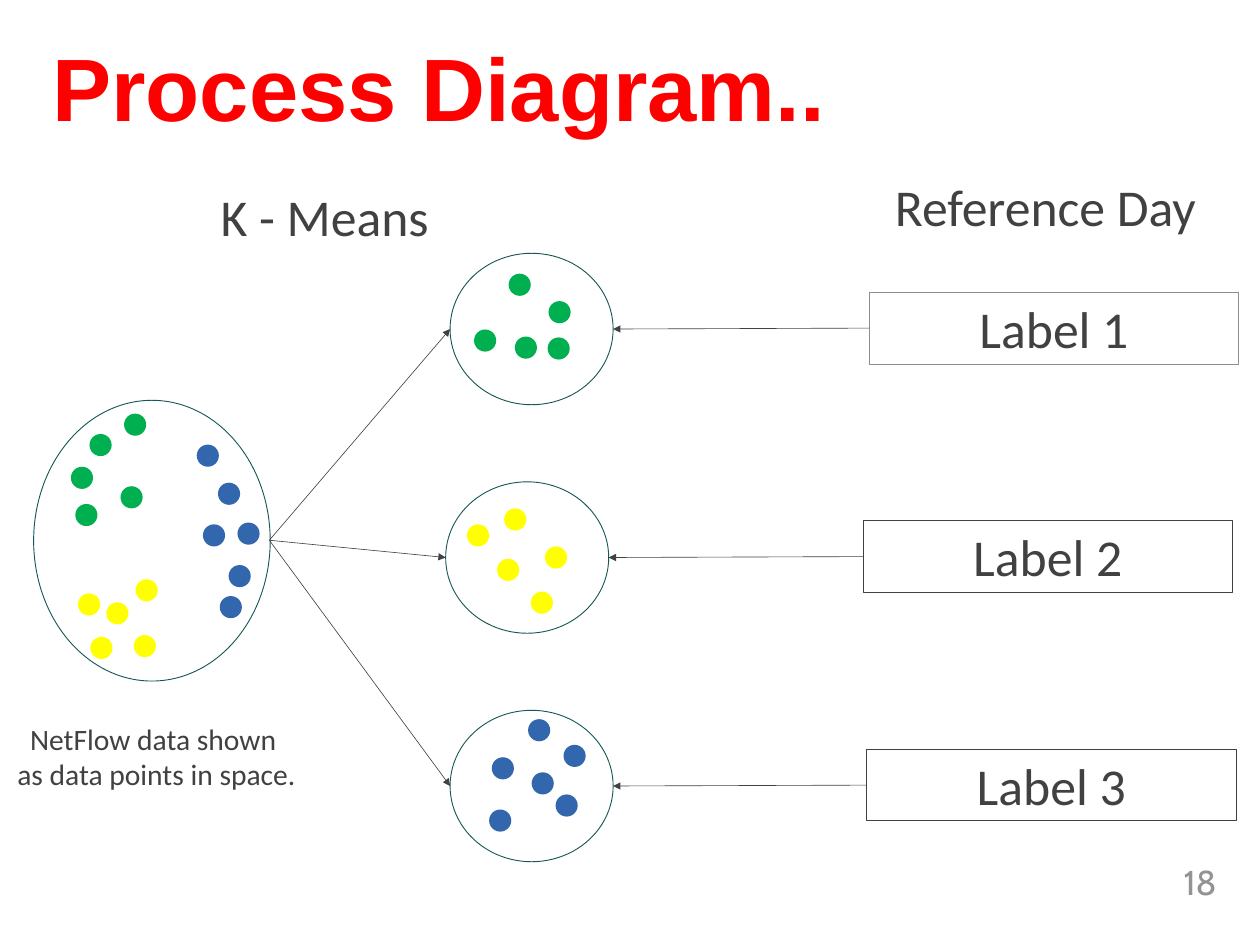
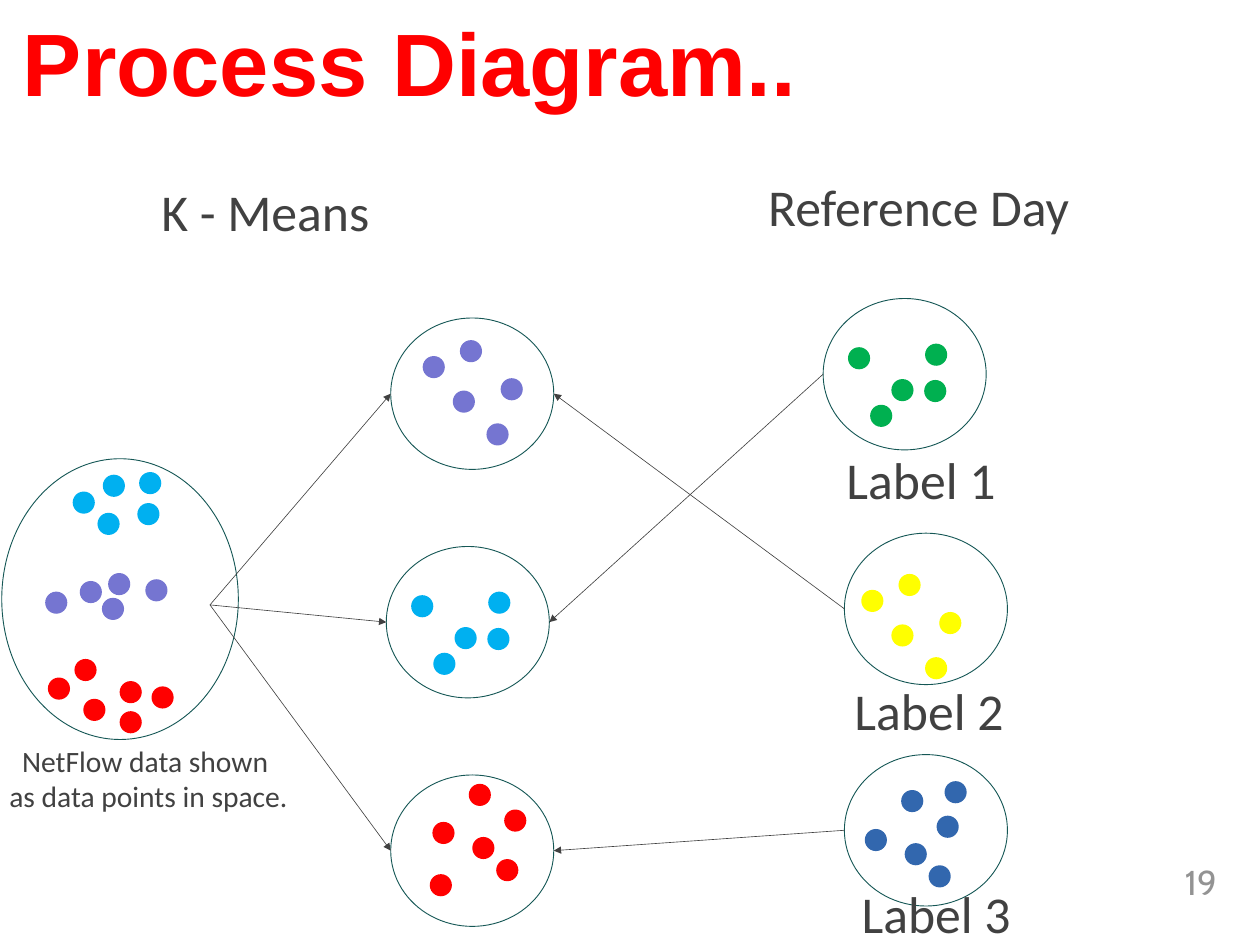
from dataclasses import dataclass
from lxml.etree import SubElement
from pptx import Presentation
from pptx.dml.color import RGBColor
from pptx.enum.shapes import MSO_CONNECTOR, MSO_SHAPE
from pptx.enum.text import MSO_ANCHOR, PP_ALIGN
from pptx.oxml.ns import qn
from pptx.util import Inches, Pt


@dataclass(frozen=True)
class Theme:
    title_red: str = "FF0000"
    ink: str = "414141"
    outline: str = "155755"
    soft_line: str = "8D8D8D"
    number_grey: str = "939393"
    green: str = "00B050"
    yellow: str = "FFFF00"
    blue: str = "3267AE"
    red: str = "FF0000"
    purple: str = "7575D1"
    cyan: str = "00B0F0"
    title_font: str = "Arial"
    body_font: str = "Calibri"
    number_font: str = "Cabin"
    title_size: int = 72
    label_size: int = 42
    caption_size: int = 24
    number_size: int = 28
    outline_width: float = 0.75
    arrow_width: float = 0.5


THEME = Theme()

# Measures in inches
SLIDE = (14.22, 10.67)
TITLE_SIZE = (13.44, 1.38)
SOURCE_SIZE = (2.67, 3.17)
CLUSTER_SIZE = (1.84, 1.71)
LABEL_SIZE = (4.17, 0.81)
HEADING_SIZE = (2.93, 0.81)
CAPTION_SIZE = (3.39, 0.91)
NUMBER_BOX = (10.63, 9.67, 3.2, 0.57)
DOT = 0.25
ROW_PITCH = 2.58
ROW_SHIFTS = (0, -0.05, 0)
FAN_OFFSET = (-2.04, 3.24)  # where the arrows start, from the first cluster

# Dot patterns, measured from the corner of the surrounding circle
ARC = [(0.66, 0.23), (0.27, 0.86), (0.73, 0.94), (1.11, 0.54), (1.1, 0.95)]
CORNER = [(0.28, 0.55), (0.53, 1.2), (0.77, 0.91), (1.15, 0.51), (1.14, 0.92)]
ZIGZAG = [(0.66, 0.3), (0.58, 0.87), (1.12, 0.73), (0.96, 1.24), (0.24, 0.48)]
RING = [(0.47, 0.53), (0.44, 1.12), (1.19, 0.95), (1.28, 0.39), (0.92, 0.7), (0.88, 0.1)]
TALL = [(0.23, 0.84), (1.13, 0.3), (0.95, 1.25), (1.04, 0.69), (0.68, 1), (0.64, 0.4)]


def shifted(pattern, dx, dy):
    return [(x + dx, y + dy) for x, y in pattern]


# Content
TITLE = "Process Diagram.."
CAPTION = ["NetFlow data shown ", "as data points in space."]
METHOD = "K - Means"
REFERENCE = "Reference Day "

PAGES = [
    {
        "number": "18",
        "title_at": (0.53, 0.25),
        "source_at": (0.38, 4.52),
        "source_dots": [
            (THEME.green, [(0.98, 0.97), (0.63, 0.38), (0.42, 0.75), (0.47, 1.17), (1.02, 0.15)]),
            (THEME.yellow, [(0.5, 2.18), (0.82, 2.28), (1.13, 2.65), (0.64, 2.67), (1.15, 2.02)]),
            (THEME.blue, [(2.2, 1.86), (1.91, 1.4), (2.3, 1.38), (2.1, 2.21), (1.84, 0.5),
                          (2.08, 0.93)]),
        ],
        "caption_at": (0.07, 8.09),
        "method_at": (2.2, 2.04),
        "reference_at": (9.78, 1.93),
        "clusters_at": (5.08, 2.86),
        "clusters": [(THEME.green, ARC), (THEME.yellow, ZIGZAG), (THEME.blue, RING)],
        # text, place, line colour, target cluster
        "boxed_labels": [
            ("Label 1", (9.81, 3.3), THEME.soft_line, 0),
            ("Label 2", (9.74, 5.88), THEME.ink, 1),
            ("Label 3", (9.78, 8.46), THEME.ink, 2),
        ],
        "reference_clusters": [],
    },
    {
        "number": "19",
        "title_at": (0.2, -0.03),
        "source_at": (0.02, 5.18),
        "source_dots": [
            (THEME.cyan, [(1.53, 0.5), (0.8, 0.37), (1.55, 0.15), (1.08, 0.61), (1.14, 0.18)]),
            (THEME.purple, [(1.2, 1.29), (1.13, 1.57), (1.62, 1.36), (0.88, 1.38), (0.49, 1.5)]),
            (THEME.red, [(0.82, 2.26), (1.33, 2.85), (0.52, 2.47), (1.33, 2.51), (0.92, 2.71),
                         (1.69, 2.57)]),
        ],
        "caption_at": (-0.02, 8.34),
        "method_at": (1.53, 1.98),
        "reference_at": (8.35, 1.92),
        "clusters_at": (4.41, 3.59),
        "clusters": [(THEME.purple, shifted(ZIGZAG, 0.12, -0.05)), (THEME.cyan, CORNER),
                     (THEME.red, RING)],
        "boxed_labels": [],
        # text, text place, circle place, dot colour, dots, target cluster
        "reference_clusters": [
            ("Label 1", (8.31, 5.01), (9.29, 3.37), THEME.green, CORNER, 1),
            ("Label 2", (8.4, 7.61), (9.53, 6.02), THEME.yellow,
             shifted(ZIGZAG, -0.05, 0.16), 0),
            ("Label 3", (8.48, 9.91), (9.53, 8.52), THEME.blue, TALL, 2),
        ],
    },
]


def rgb(colour):
    return RGBColor.from_string(colour)


def write(shape, lines, size, colour=THEME.ink, font=THEME.body_font, bold=False,
          align=PP_ALIGN.CENTER, anchor=MSO_ANCHOR.TOP, inset=None):
    frame = shape.text_frame
    frame.word_wrap = True
    frame.vertical_anchor = anchor
    if inset is not None:
        frame.margin_left = frame.margin_right = Inches(inset)
        frame.margin_top = frame.margin_bottom = Inches(inset)
    for i, line in enumerate(lines):
        paragraph = frame.add_paragraph() if i else frame.paragraphs[0]
        paragraph.alignment = align
        run = paragraph.add_run()
        run.text = line
        run.font.size = Pt(size)
        run.font.name = font
        run.font.bold = bold
        run.font.color.rgb = rgb(colour)


def add_text(slide, at, size, lines, points, **style):
    box = slide.shapes.add_textbox(*map(Inches, (*at, *size)))
    write(box, lines, points, **style)


def add_figure(slide, preset, at, size, fill=None, line=None):
    figure = slide.shapes.add_shape(preset, *map(Inches, (*at, *size)))
    figure.shadow.inherit = False
    if fill:
        figure.fill.solid()
        figure.fill.fore_color.rgb = rgb(fill)
    else:
        figure.fill.background()
    if line:
        figure.line.color.rgb = rgb(line)
        figure.line.width = Pt(THEME.outline_width)
    else:
        figure.line.fill.background()
    return figure


def add_cloud(slide, at, size, groups):
    """An outlined circle with coloured dots in it."""
    add_figure(slide, MSO_SHAPE.FLOWCHART_CONNECTOR, at, size, line=THEME.outline)
    for colour, dots in groups:
        for dot_at in shifted(dots, *at):
            add_figure(slide, MSO_SHAPE.FLOWCHART_CONNECTOR, dot_at, (DOT, DOT), fill=colour)


def add_arrow(slide, start, end):
    arrow = slide.shapes.add_connector(MSO_CONNECTOR.STRAIGHT, *map(Inches, (*start, *end)))
    arrow.line.color.rgb = rgb(THEME.ink)
    arrow.line.width = Pt(THEME.arrow_width)
    SubElement(arrow.line._get_or_add_ln(), qn("a:tailEnd"), type="triangle")
    SubElement(arrow._element.spPr, qn("a:effectLst"))
    return arrow


def left_middle(at, size):
    return at[0], at[1] + size[1] / 2


def right_middle(at, size):
    return at[0] + size[0], at[1] + size[1] / 2


def build_page(deck, page):
    slide = deck.slides.add_slide(deck.slide_layouts[6])

    # Title and headings
    add_text(slide, page["title_at"], TITLE_SIZE, [TITLE], THEME.title_size,
             colour=THEME.title_red, font=THEME.title_font, bold=True,
             align=PP_ALIGN.LEFT, anchor=MSO_ANCHOR.BOTTOM, inset=0.06)
    add_text(slide, page["method_at"], HEADING_SIZE, [METHOD], THEME.label_size)
    add_text(slide, page["reference_at"], LABEL_SIZE, [REFERENCE], THEME.label_size)

    # All data points
    add_cloud(slide, page["source_at"], SOURCE_SIZE, page["source_dots"])
    add_text(slide, page["caption_at"], CAPTION_SIZE, CAPTION, THEME.caption_size)

    # Clusters and the fan of arrows to them
    left, top = page["clusters_at"]
    fan_start = (left + FAN_OFFSET[0], top + FAN_OFFSET[1])
    places = [(left + shift, top + row * ROW_PITCH) for row, shift in enumerate(ROW_SHIFTS)]
    for place, group in zip(places, page["clusters"]):
        add_cloud(slide, place, CLUSTER_SIZE, [group])
        add_arrow(slide, fan_start, left_middle(place, CLUSTER_SIZE))

    # Reference day: boxed labels
    for text, at, line, target in page["boxed_labels"]:
        label = add_figure(slide, MSO_SHAPE.RECTANGLE, at, LABEL_SIZE, line=line)
        write(label, [text], THEME.label_size)
        arrow = add_arrow(slide, left_middle(at, LABEL_SIZE),
                          right_middle(places[target], CLUSTER_SIZE))
        arrow.begin_connect(label, 1)

    # Reference day: labelled clusters
    for text, text_at, at, colour, dots, target in page["reference_clusters"]:
        add_cloud(slide, at, CLUSTER_SIZE, [(colour, dots)])
        add_arrow(slide, left_middle(at, CLUSTER_SIZE),
                  right_middle(places[target], CLUSTER_SIZE))
        add_text(slide, text_at, LABEL_SIZE, [text], THEME.label_size)

    # Slide number
    add_text(slide, NUMBER_BOX[:2], NUMBER_BOX[2:], [page["number"]], THEME.number_size,
             colour=THEME.number_grey, font=THEME.number_font,
             align=PP_ALIGN.RIGHT, anchor=MSO_ANCHOR.MIDDLE)


def main():
    deck = Presentation()
    deck.slide_width, deck.slide_height = map(Inches, SLIDE)
    for page in PAGES:
        build_page(deck, page)
    deck.save("out.pptx")


if __name__ == "__main__":
    main()
